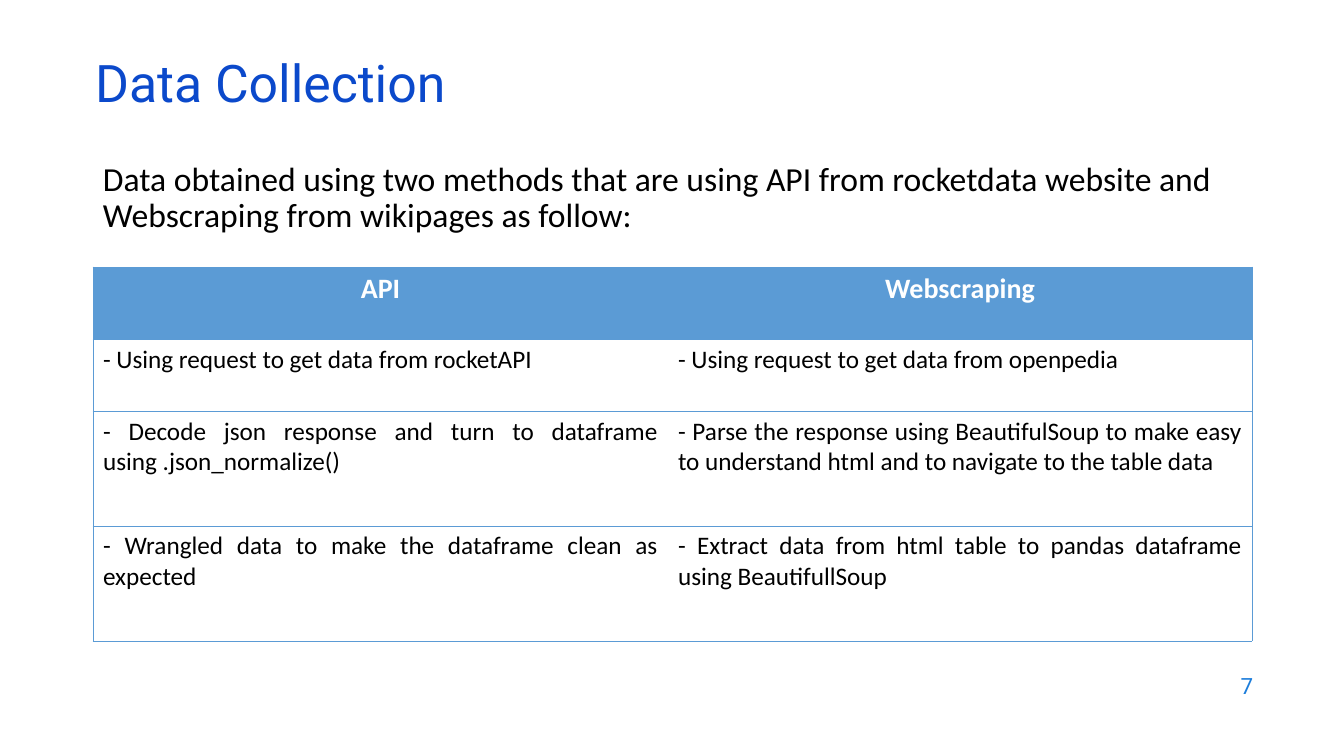
from lxml import etree
from pptx import Presentation
from pptx.dml.color import RGBColor
from pptx.enum.text import MSO_ANCHOR, MSO_AUTO_SIZE, PP_ALIGN
from pptx.oxml.ns import qn
from pptx.util import Pt

TITLE = "Data Collection"
INTRO = ("Data obtained using two methods that are using API from rocketdata website "
         "and Webscraping from wikipages as follow:")
PAGE_NUMBER = "7"
METHODS = [
    ("API", "Webscraping"),
    ("- Using request to get data from rocketAPI",
     "- Using request to get data from openpedia"),
    ("- Decode json response and turn to dataframe using .json_normalize()",
     "- Parse the response using BeautifulSoup to make easy to understand html "
     "and to navigate to the table data"),
    ("- Wrangled data to make the dataframe clean as expected",
     "- Extract data from html table to pandas dataframe using BeautifullSoup"),
]

# Lengths in px: left, top, width, height
SLIDE_SIZE = (1344, 756)
TITLE_BOX = (85, 59, 1159, 60)
INTRO_BOX = (93, 157, 1159, 91)
NUMBER_BOX = (961, 664, 302, 44)
TABLE_CORNER = (93, 267)
COLUMN_WIDTHS = (575, 584)
ROW_HEIGHTS = (72, 72, 115, 115)
EMU_PER_PX = 12192000 / 1344

TITLE_BLUE = RGBColor(0x0B, 0x49, 0xCB)
NUMBER_BLUE = RGBColor(0x1C, 0x7D, 0xDB)
TABLE_BLUE = RGBColor(0x5B, 0x9B, 0xD5)
BLACK = RGBColor(0, 0, 0)
WHITE = RGBColor(0xFF, 0xFF, 0xFF)

LEFT, CENTER, RIGHT, JUSTIFY = (
    PP_ALIGN.LEFT, PP_ALIGN.CENTER, PP_ALIGN.RIGHT, PP_ALIGN.JUSTIFY)
TOP, MIDDLE = MSO_ANCHOR.TOP, MSO_ANCHOR.MIDDLE
NO_AUTOFIT = MSO_AUTO_SIZE.NONE
TITLE_ONLY = 5


def px(length):
    return round(length * EMU_PER_PX)


def write(frame, text, font, size, color, align=LEFT, spacing=1.0, bold=False):
    para = frame.paragraphs[0]
    para.alignment = align
    para.line_spacing = spacing
    para.space_before = Pt(0)
    span = para.add_run()
    span.text = text
    span.font.name = font
    span.font.size = Pt(size)
    span.font.bold = bold
    span.font.color.rgb = color


def set_up_frame(shape, anchor):
    frame = shape.text_frame
    frame.word_wrap = True
    frame.auto_size = NO_AUTOFIT
    frame.vertical_anchor = anchor
    return frame


def add_text(page, box, anchor, *style, **options):
    shape = page.shapes.add_textbox(*map(px, box))
    write(set_up_frame(shape, anchor), *style, **options)


def set_borders(cell, visible_sides):
    """Draw a thin blue line on the given sides and none on the others."""
    properties = cell._tc.get_or_add_tcPr()
    for side in "LRTB":
        line = etree.SubElement(properties, qn(f"a:ln{side}"), w=str(Pt(0.5)))
        if side in visible_sides:
            fill = etree.SubElement(line, qn("a:solidFill"))
            etree.SubElement(fill, qn("a:srgbClr"), val=str(TABLE_BLUE))
        else:
            etree.SubElement(line, qn("a:noFill"))


def add_methods_table(page):
    size = (sum(COLUMN_WIDTHS), sum(ROW_HEIGHTS))
    table = page.shapes.add_table(
        len(METHODS), len(COLUMN_WIDTHS), *map(px, TABLE_CORNER + size)).table
    for column, width in zip(table.columns, COLUMN_WIDTHS):
        column.width = px(width)
    for row_index, (row, height) in enumerate(zip(table.rows, ROW_HEIGHTS)):
        row.height = px(height)
        header = row_index == 0
        for cell, text, outer_side in zip(row.cells, METHODS[row_index], "LR"):
            set_borders(cell, "TB" + outer_side)
            if header:
                cell.fill.solid()
                cell.fill.fore_color.rgb = TABLE_BLUE
                write(cell.text_frame, text, "Calibri", 20, WHITE, CENTER, bold=True)
            else:
                cell.fill.background()
                write(cell.text_frame, text, "Calibri", 18, BLACK, JUSTIFY)


def main():
    deck = Presentation()
    deck.slide_width, deck.slide_height = map(px, SLIDE_SIZE)
    page = deck.slides.add_slide(deck.slide_layouts[TITLE_ONLY])

    title = page.shapes.title
    title.left, title.top, title.width, title.height = map(px, TITLE_BOX)
    write(set_up_frame(title, MIDDLE), TITLE, "Roboto", 37, TITLE_BLUE, spacing=0.7)

    add_text(page, INTRO_BOX, TOP, INTRO, "Calibri", 24, BLACK, spacing=0.9)
    add_methods_table(page)
    add_text(page, NUMBER_BOX, MIDDLE, PAGE_NUMBER, "Roboto", 16, NUMBER_BLUE, RIGHT)
    deck.save("out.pptx")


if __name__ == "__main__":
    main()
